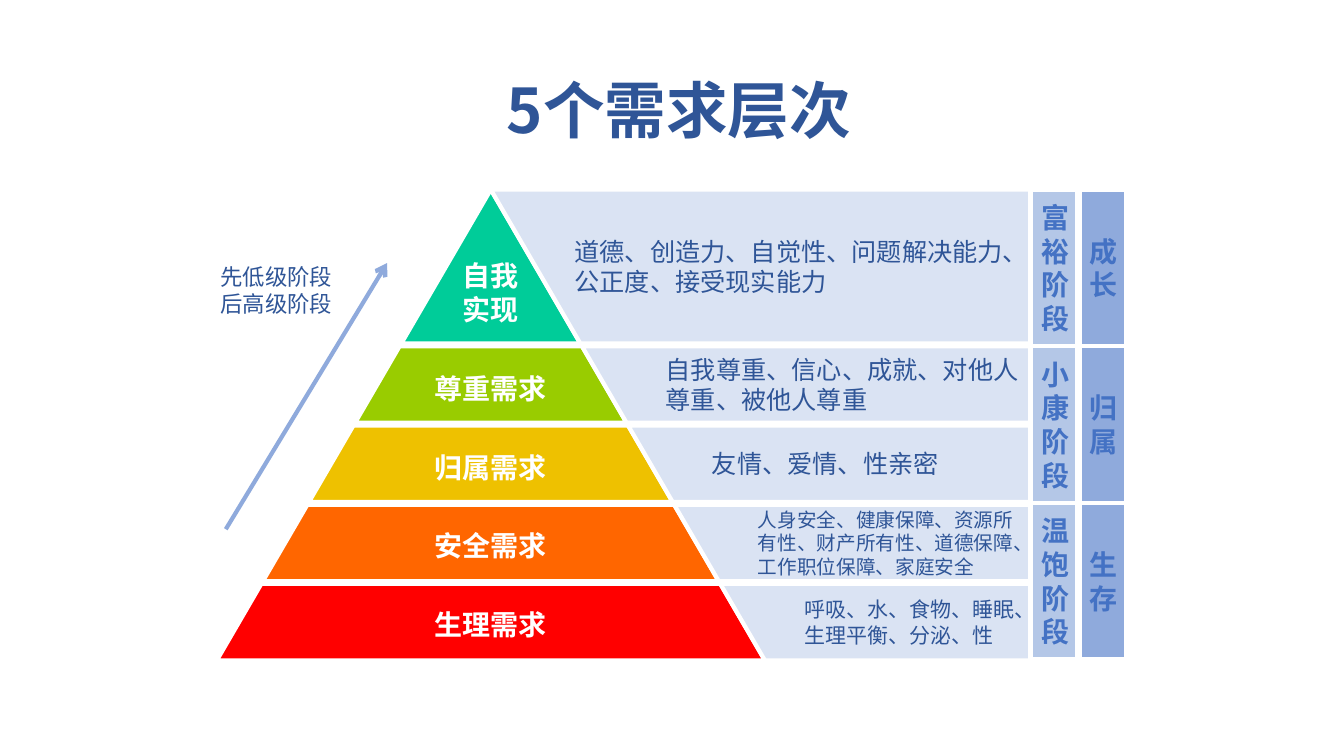
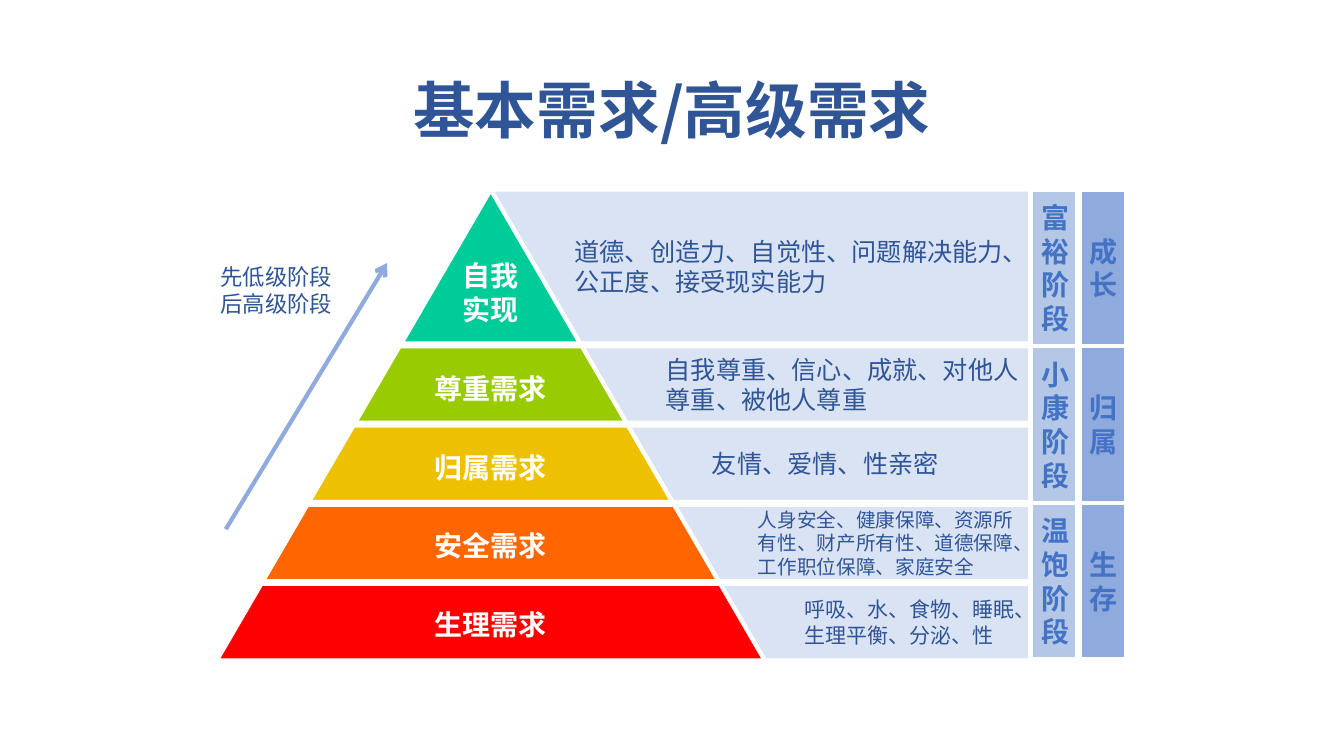
from dataclasses import dataclass
from typing import NamedTuple

from lxml.etree import SubElement
from pptx import Presentation
from pptx.dml.color import RGBColor as RGB
from pptx.enum.shapes import MSO_CONNECTOR as CONN, MSO_SHAPE as SHAPE
from pptx.enum.text import MSO_ANCHOR as ANCHOR, MSO_AUTO_SIZE as AUTO, PP_ALIGN as ALIGN
from pptx.oxml.ns import qn
from pptx.util import Pt


@dataclass(frozen=True)
class Theme:
    """Colours, type sizes and line width shared by the slides."""
    font: str = "Noto Sans CJK SC"
    ink: str = "2F5597"
    stage_ink: str = "4472C4"
    white: str = "FFFFFF"
    panel: str = "DAE3F3"
    stage: str = "B4C7E7"
    goal: str = "8FAADC"
    title: int = 44
    label: int = 20
    note: int = 16
    line: int = 3


class Box(NamedTuple):
    """A region in points."""
    x: float
    y: float
    w: float
    h: float

    def pts(self):
        """Return the region as lengths."""
        return [Pt(v) for v in self]


class Level(NamedTuple):
    """One level of needs."""
    name: str
    color: str
    detail: str
    size: int


T = Theme()
TITLE = Box(66, 28.8, 828, 104.4)
PYRAMID = Box(154.8, 135.4, 391.6, 336.4)
STAGES = Box(736.6, 135.4, 67.7, 335.6)
ROUTE = Box(150.5, 184.3, 126, 193.7)
PANEL_RIGHT = 736
ROW_H, ROW_GAP = 54.7, 1.9

TITLES = [" 5个需求层次", "基本需求/高级需求"]
LEVELS = [
    Level("自我实现", "00CC99", "道德、创造力、自觉性、问题解决能力、公正度、接受现实能力", 18),
    Level("尊重需求", "99CC00", "自我尊重、信心、成就、对他人尊重、被他人尊重", 18),
    Level("归属需求", "EEC100", "友情、爱情、性亲密", 18),
    Level("安全需求", "FF6600",
          "人身安全、健康保障、资源所有性、财产所有性、道德保障、工作职位保障、家庭安全", 14),
    Level("生理需求", "FF0000", "呼吸、水、食物、睡眠、生理平衡、分泌、性", 15),
]
COLUMNS = [
    (T.stage, ["富裕阶段", "小康阶段", "温饱阶段"]),
    (T.goal, ["成长", "归属", "生存"]),
]


def write(tf, lines, size, color, bold=False, align=ALIGN.LEFT):
    """Fill a text frame with one paragraph per line."""
    for i, line in enumerate(lines):
        p = tf.add_paragraph() if i else tf.paragraphs[0]
        p.text = line
        p.alignment = align
        p.font.size, p.font.bold, p.font.name = Pt(size), bold, T.font
        p.font.color.rgb = RGB.from_string(color)
        SubElement(p._p.pPr.find(qn("a:defRPr")), qn("a:ea"), typeface=T.font)


def paint(sp, fill):
    """Give a shape its fill, white outline and middle anchor."""
    sp.shadow.inherit = False
    sp.fill.solid()
    sp.fill.fore_color.rgb = RGB.from_string(fill)
    sp.line.color.rgb = RGB.from_string(T.white)
    sp.line.width = Pt(T.line)
    sp.text_frame.word_wrap = True
    sp.text_frame.vertical_anchor = ANCHOR.MIDDLE


def add_label(s, kind, box, fill, text, color):
    """Add a filled shape with a bold centred label."""
    sp = s.shapes.add_shape(kind, *box.pts())
    paint(sp, fill)
    write(sp.text_frame, [text], T.label, color, True, ALIGN.CENTER)
    return sp


def add_panel(s, corners, level):
    """Add the slanted panel that details a level."""
    start, *rest = [(Pt(x), Pt(y)) for x, y in corners]
    builder = s.shapes.build_freeform(*start, scale=1.0)
    builder.add_line_segments(rest, close=True)
    sp = builder.convert_to_shape()
    paint(sp, T.panel)
    sp.text_frame.margin_left, sp.text_frame.margin_right = Pt(59.8), Pt(7.2)
    write(sp.text_frame, [level.detail], level.size, T.ink)


def add_pyramid(s, box, right):
    """Stack the levels in the box, with panels reaching to the right edge."""
    slope = box.w / 2 / box.h
    apex = box.x + box.w / 2
    top_h = box.h - (len(LEVELS) - 1) * (ROW_H + ROW_GAP)
    y = box.y
    for i, level in enumerate(LEVELS):
        h = ROW_H if i else top_h
        bottom = y + h
        half_top, half = slope * (y - box.y), slope * (bottom - box.y)
        row = Box(apex - half, y, 2 * half, h)
        sp = add_label(s, SHAPE.TRAPEZOID, row, level.color, level.name, T.white)
        sp.adjustments[0] = slope * h / min(row.w, h)
        if i == 0:
            tf = sp.text_frame
            tf.margin_left = tf.margin_right = tf.margin_top = tf.margin_bottom = 0
        add_panel(s, [(apex + half_top, y), (right, y), (right, bottom), (apex + half, bottom)], level)
        y = bottom + ROW_GAP


def add_stages(s, box):
    """Fill the box with columns of equal stage blocks."""
    gap = 1.5
    w = (box.w - gap) / len(COLUMNS)
    for c, (fill, names) in enumerate(COLUMNS):
        h = box.h / len(names)
        for r, name in enumerate(names):
            block = Box(box.x + c * (w + gap), box.y + r * h, w, h)
            add_label(s, SHAPE.RECTANGLE, block, fill, name, T.stage_ink)


def add_route(s, box):
    """Add the rising arrow and its note."""
    ends = box.x + 10.8, box.y + box.h, box.x + box.w, box.y + 3.6
    cn = s.shapes.add_connector(CONN.STRAIGHT, *[Pt(v) for v in ends])
    cn.line.color.rgb = RGB.from_string(T.goal)
    cn.line.width = Pt(T.line)
    SubElement(cn.line._get_or_add_ln(), qn("a:tailEnd"), type="arrow")
    SubElement(cn._element.spPr, qn("a:effectLst"))
    tf = s.shapes.add_textbox(*Box(box.x, box.y, 95, 46).pts()).text_frame
    tf.word_wrap = False
    tf.auto_size = AUTO.SHAPE_TO_FIT_TEXT
    write(tf, ["先低级阶段", "后高级阶段"], T.note, T.ink)


def add_title(s, box, text):
    """Place and format the title placeholder."""
    sp = s.shapes.title
    sp.left, sp.top, sp.width, sp.height = box.pts()
    sp.text_frame.vertical_anchor = ANCHOR.MIDDLE
    write(sp.text_frame, [text], T.title, T.ink, True, ALIGN.CENTER)
    sp.text_frame.paragraphs[0].line_spacing = 0.9


def add_needs_slide(prs, title):
    """Add one slide with the pyramid of needs."""
    s = prs.slides.add_slide(prs.slide_layouts[5])
    add_title(s, TITLE, title)
    add_pyramid(s, PYRAMID, PANEL_RIGHT)
    add_route(s, ROUTE)
    add_stages(s, STAGES)


def main():
    """Build and save the presentation."""
    prs = Presentation()
    prs.slide_width, prs.slide_height = Pt(960), Pt(540)
    for title in TITLES:
        add_needs_slide(prs, title)
    prs.save("out.pptx")


if __name__ == "__main__":
    main()
